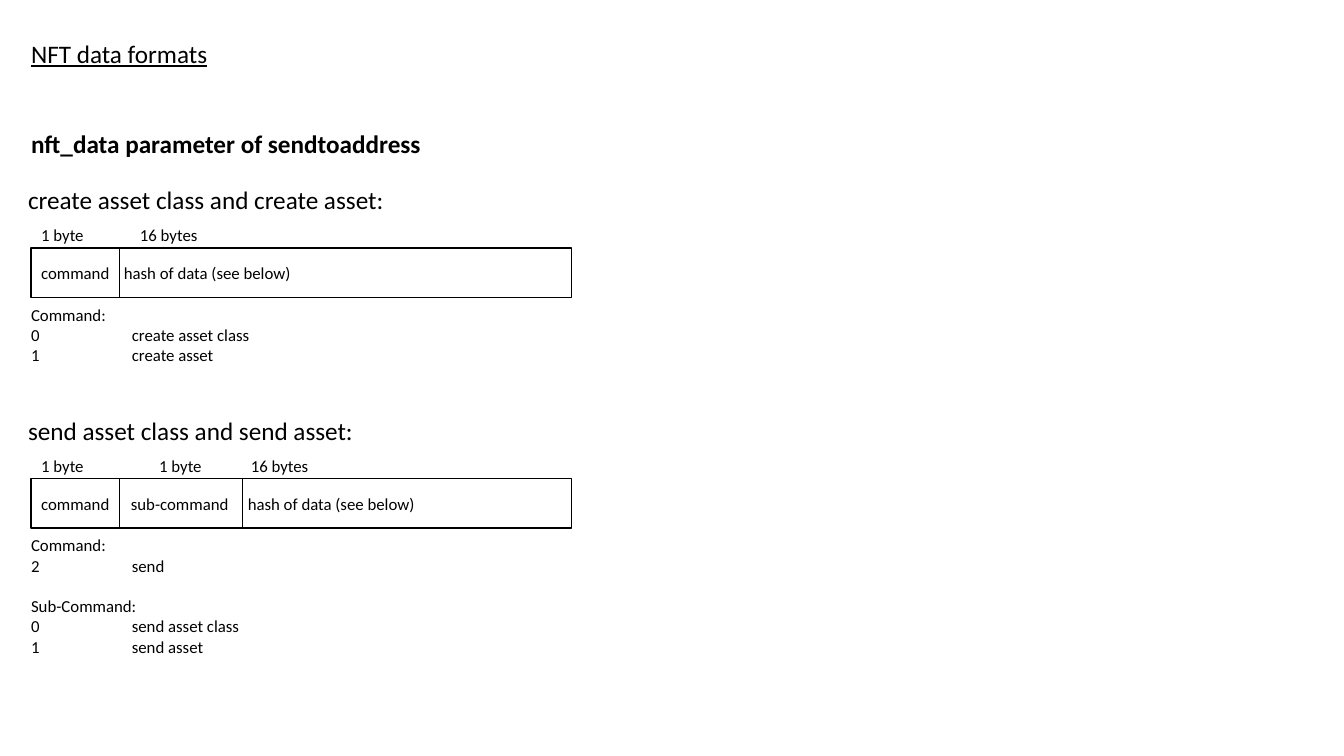
import pptx
import pptx.util
import pptx.dml.color
import pptx.enum.shapes
import pptx.enum.text
import lxml.etree

BLACK = pptx.dml.color.RGBColor(0, 0, 0)
WHITE = pptx.dml.color.RGBColor(255, 255, 255)
COL = ROW = pptx.util.Inches(0.1)  # the slide is a grid of small squares

deck = pptx.Presentation()
deck.slide_width, deck.slide_height = int(133.33 * COL), 75 * ROW
slide = deck.slides.add_slide(deck.slide_layouts[6])
shapes = slide.shapes


def write(frame, lines, size=12, stops=(), wrap=True):
    """Fill a text frame with lines, tab stops given in columns."""
    frame.word_wrap = wrap
    frame.text = "\n".join(lines)
    for para in frame.paragraphs:
        para.alignment = pptx.enum.text.PP_ALIGN.LEFT
        if stops:
            tabs = lxml.etree.SubElement(
                para._p.get_or_add_pPr(), pptx.oxml.ns.qn("a:tabLst"))
            for stop in stops:
                lxml.etree.SubElement(tabs, pptx.oxml.ns.qn("a:tab"),
                                      pos=str(int(stop * COL)), algn="l")
        para.font.size = pptx.util.Pt(size)
        para.font.name = "Calibri"
        para.font.color.rgb = BLACK
    return frame.paragraphs


def label(left, top, width, height, lines, **style):
    """Add a text box placed by columns and rows."""
    box = shapes.add_textbox(int(left * COL), int(top * ROW),
                             int(width * COL), int(height * ROW))
    return write(box.text_frame, lines, **style)


title = label(2.1, 3.3, 124, 4, ["NFT data formats"], size=18)
title[0].font.underline = True
topic = label(2.1, 12.2, 41.1, 4, ["nft_data parameter of sendtoaddress"],
              size=18, wrap=False)
topic[0].font.bold = True

# top, heading, heading width, sizes, size stops, fields, field stops, rules, notes
formats = [
    (17.8, "create asset class and create asset:", 37.7,
     "1 byte\t16 bytes", [9.8],
     "command\thash of data (see below)", [8.2], [11.8],
     ["Command:", "0\tcreate asset class", "1\tcreate asset"]),
    (40.7, "send asset class and send asset:", 34.6,
     "1 byte\t1 byte\t16 bytes", [11.7, 20.8],
     "command\tsub-command\thash of data (see below)", [8.9, 20.5], [11.8, 24],
     ["Command:", "2\tsend", "Sub-Command:", "0\tsend asset class",
      "1\tsend asset"]),
]

for top, head, width, sizes, marks, fields, stops, rules, notes in formats:
    label(1.8, top, width, 4, [head], size=18, wrap=False)
    label(3.1, top + 4, 66.7, 3, [sizes], stops=marks)

    upper, lower = top + 6.8, top + 11.7
    bar = shapes.add_shape(pptx.enum.shapes.MSO_SHAPE.RECTANGLE,
                           int(3.1 * COL), int(upper * ROW),
                           int(53.6 * COL), int((lower - upper) * ROW))
    bar.shadow.inherit = False
    bar.fill.solid()
    bar.fill.fore_color.rgb = WHITE
    bar.line.color.rgb = BLACK
    bar.line.width = pptx.util.Pt(1)
    bar.text_frame.vertical_anchor = pptx.enum.text.MSO_ANCHOR.MIDDLE
    write(bar.text_frame, [fields], stops=stops)

    for rule in rules:
        line = shapes.add_connector(
            pptx.enum.shapes.MSO_CONNECTOR.STRAIGHT,
            int(rule * COL), int(upper * ROW), int(rule * COL), int(lower * ROW))
        line.line.color.rgb = BLACK
        line.line.width = pptx.util.Pt(0.5)
        lxml.etree.SubElement(line._element.spPr,
                              pptx.oxml.ns.qn("a:effectLst"))

    paras = label(2.1, top + 11.9, 66.7, 2 * len(notes) + 1.1, notes, stops=[10])
    for para in paras[1:]:
        if para.text.endswith(":"):
            para.space_before = pptx.util.Pt(14.6)

deck.save("out.pptx")
